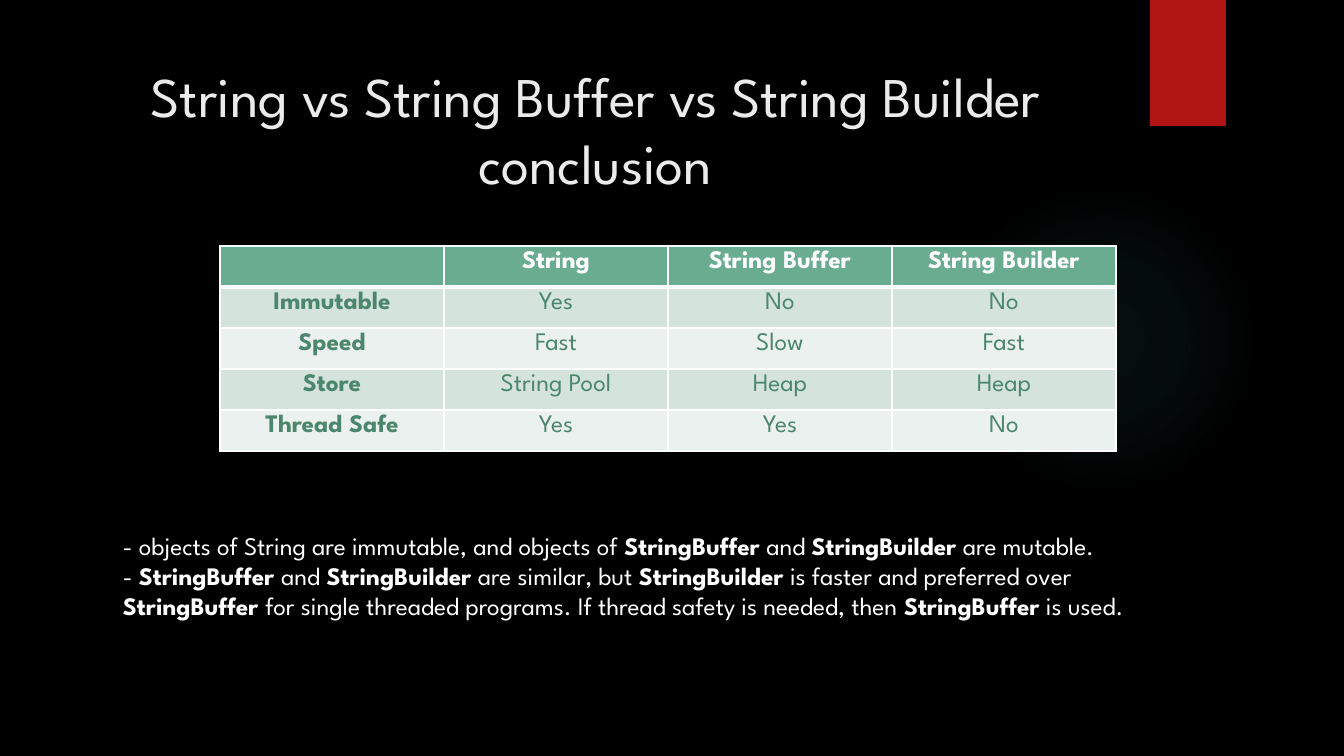
from dataclasses import dataclass

from lxml import etree
from pptx import Presentation
from pptx.dml.color import RGBColor
from pptx.enum.shapes import MSO_SHAPE
from pptx.enum.text import MSO_ANCHOR as Anchor, MSO_AUTO_SIZE as AutoSize, PP_ALIGN as Align
from pptx.oxml import parse_xml
from pptx.oxml.ns import nsdecls, qn
from pptx.util import Emu, Pt

SLIDE_BOX = (0, 0, 1344, 756)
EMU_PER_PX = 12192000 / 1344


@dataclass(frozen=True)
class Theme:
    font: str = "League Spartan"
    title_size: int = 40
    body_size: int = 18
    background: str = "000000"
    title: str = "EBEBEB"
    white: str = "FFFFFF"
    flag: str = "B01513"
    glow: str = "50B9C1"
    header: str = "6AAC90"
    bands: tuple = ("D4E3DB", "EBF1EE")
    cell_text: str = "4B866D"


THEME = Theme()

TITLE = "String vs String Buffer vs String Builder conclusion"
COMPARISON = [
    ["", "String", "String Buffer", "String Builder"],
    ["Immutable", "Yes", "No", "No"],
    ["Speed", "Fast", "Slow", "Fast"],
    ["Store", "String Pool", "Heap", "Heap"],
    ["Thread Safe", "Yes", "Yes", "No"],
]
LINE_BREAK = None
NOTES = [
    [("- objects of String are immutable, and objects of ", False), ("StringBuffer", True),
     (" and ", False), ("StringBuilder", True), (" are mutable.", False)],
    [("- ", False), ("StringBuffer ", True), ("and ", False), ("StringBuilder", True),
     (" are similar, but ", False), ("StringBuilder", True),
     (" is faster and preferred over", False), LINE_BREAK, ("StringBuffer ", True),
     ("for single threaded programs. If thread safety is needed, then ", False),
     ("StringBuffer", True), (" is used.", False)],
]


def px(length):
    return Emu(round(length * EMU_PER_PX))


def place(box):
    return [px(length) for length in box]


def color(value):
    return RGBColor.from_string(value)


def add_run(paragraph, text, size, text_color, bold=False):
    run = paragraph.add_run()
    run.text = text
    run.font.name = THEME.font
    run.font.size = Pt(size)
    run.font.bold = bold
    run.font.color.rgb = color(text_color)


def add_plain_shape(slide, kind, box, fill):
    shape = slide.shapes.add_shape(kind, *place(box))
    shape.shadow.inherit = False
    shape.line.fill.background()
    shape.fill.solid()
    shape.fill.fore_color.rgb = color(fill)
    return shape


def add_glow(slide, box):
    glow = add_plain_shape(slide, MSO_SHAPE.OVAL, box, THEME.glow)
    stops = "".join(
        f'<a:gs pos="{position}000"><a:srgbClr val="{THEME.glow}">'
        f'<a:alpha val="{alpha}000"/></a:srgbClr></a:gs>'
        for position, alpha in ((0, 7), (36, 6), (69, 0))
    )
    gradient = parse_xml(
        f'<a:gradFill {nsdecls("a")}><a:gsLst>{stops}</a:gsLst><a:path path="circle">'
        '<a:fillToRect l="50000" t="50000" r="50000" b="50000"/></a:path></a:gradFill>'
    )
    properties = glow.element.spPr
    properties.replace(properties.find(qn("a:solidFill")), gradient)


def add_backdrop(slide, box):
    left, top, width, height = box
    background = slide.background.fill
    background.solid()
    background.fore_color.rgb = color(THEME.background)
    add_glow(slide, (left + width - 396, top + 184, 310, 310))
    add_plain_shape(slide, MSO_SHAPE.RECTANGLE, (left + width - 194, top, 76, 126), THEME.flag)


def set_title(slide, box):
    title = slide.shapes.title
    title.left, title.top, title.width, title.height = place(box)
    frame = title.text_frame
    frame.word_wrap = True
    frame.auto_size = AutoSize.NONE
    frame.vertical_anchor = Anchor.MIDDLE
    paragraph = frame.paragraphs[0]
    paragraph.alignment = Align.CENTER
    add_run(paragraph, TITLE, THEME.title_size, THEME.title)


def set_borders(cell, bottom_width):
    properties = cell._tc.get_or_add_tcPr()
    sides = (("lnL", 1), ("lnR", 1), ("lnT", 1), ("lnB", bottom_width))
    for index, (side, width) in enumerate(sides):
        line = etree.Element(qn(f"a:{side}"), w=str(Pt(width)))
        fill = etree.SubElement(line, qn("a:solidFill"))
        etree.SubElement(fill, qn("a:srgbClr"), val=THEME.white)
        properties.insert(index, line)


def add_comparison(slide, box):
    row_count, column_count = len(COMPARISON), len(COMPARISON[0])
    table = slide.shapes.add_table(row_count, column_count, *place(box)).table
    table.horz_banding = False
    for column in table.columns:
        column.width = px(box[2] / column_count)
    for row in table.rows:
        row.height = px(box[3] / row_count)
    for row_index, texts in enumerate(COMPARISON):
        is_header = row_index == 0
        fill = THEME.header if is_header else THEME.bands[(row_index - 1) % 2]
        text_color = THEME.white if is_header else THEME.cell_text
        for column_index, text in enumerate(texts):
            cell = table.cell(row_index, column_index)
            cell.fill.solid()
            cell.fill.fore_color.rgb = color(fill)
            set_borders(cell, 3 if is_header else 1)
            if text:
                paragraph = cell.text_frame.paragraphs[0]
                paragraph.alignment = Align.CENTER
                add_run(paragraph, text, THEME.body_size, text_color,
                        is_header or column_index == 0)


def add_notes_text(slide, box):
    frame = slide.shapes.add_textbox(*place(box)).text_frame
    frame.word_wrap = True
    frame.auto_size = AutoSize.SHAPE_TO_FIT_TEXT
    for index, pieces in enumerate(NOTES):
        paragraph = frame.add_paragraph() if index else frame.paragraphs[0]
        for piece in pieces:
            if piece is LINE_BREAK:
                paragraph.add_line_break()
            else:
                text, bold = piece
                add_run(paragraph, text, THEME.body_size, THEME.white, bold)


def build_comparison_slide(presentation, box):
    left, top, width, height = box
    slide = presentation.slides.add_slide(presentation.slide_layouts[5])
    add_backdrop(slide, box)
    set_title(slide, (left + 72, top + 50, 1047, 157))
    add_comparison(slide, (left + 220, top + 246, 896, 205))
    add_notes_text(slide, (left + 113, top + 525, 1156, 102))


def main():
    presentation = Presentation()
    presentation.slide_width, presentation.slide_height = place(SLIDE_BOX[2:])
    build_comparison_slide(presentation, SLIDE_BOX)
    presentation.save("out.pptx")


if __name__ == "__main__":
    main()
